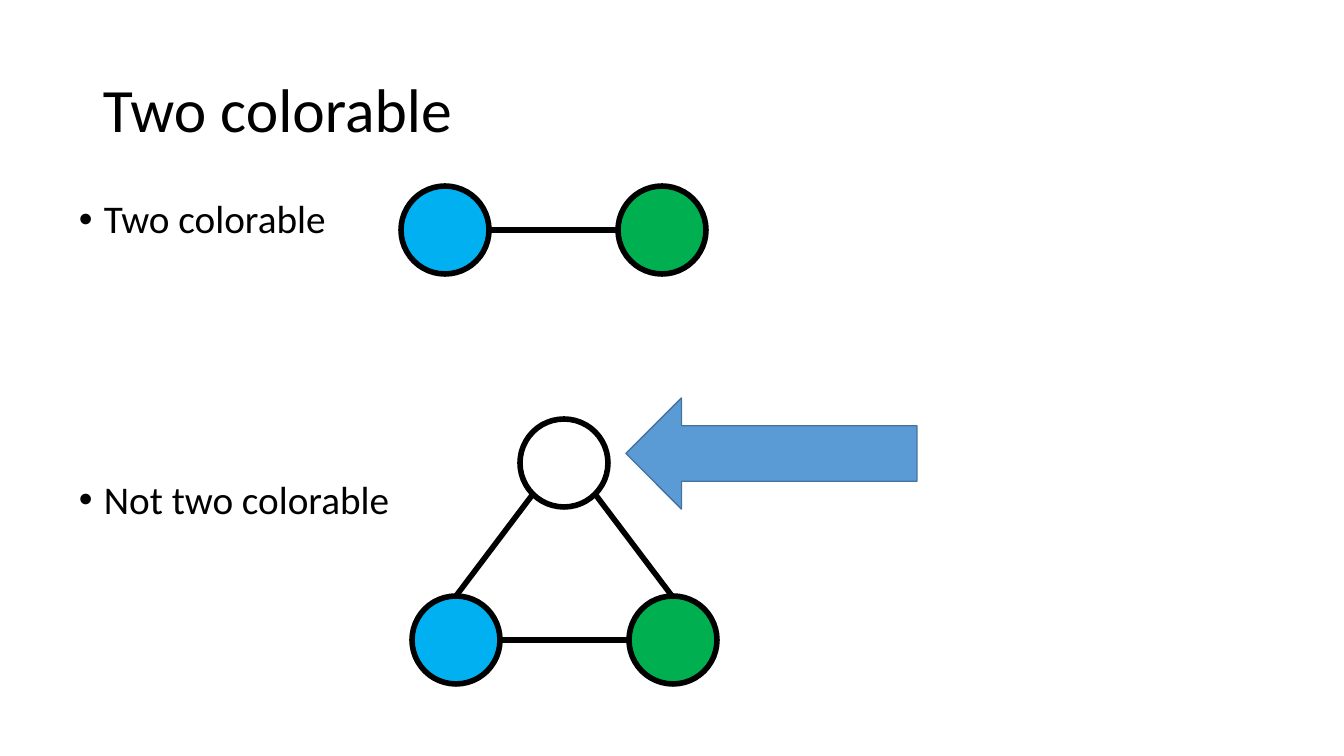
from math import sqrt

from lxml import etree
from pptx import Presentation
from pptx.dml.color import RGBColor
from pptx.enum.shapes import MSO_CONNECTOR, MSO_SHAPE
from pptx.enum.text import MSO_ANCHOR
from pptx.oxml.ns import qn
from pptx.util import Pt

CIRCLE = MSO_SHAPE.OVAL
LEFT_ARROW = MSO_SHAPE.LEFT_ARROW
STRAIGHT = MSO_CONNECTOR.STRAIGHT
MIDDLE, TOP = MSO_ANCHOR.MIDDLE, MSO_ANCHOR.TOP

EMU_PER_PIXEL = 914400 / 100.8
FONT = "Calibri"
COLORS = {
    "ink": "000000",
    "blue": "00B0F0",
    "green": "00B050",
    "uncolored": "FFFFFF",
    "arrow": "5B9BD5",
    "arrow_edge": "43739E",
}
NODE = 88  # node diameter
RADIUS = NODE // 2
DIAGONAL = round(RADIUS / sqrt(2))


def px(value):
    return round(value * EMU_PER_PIXEL)


def color(name):
    return RGBColor.from_string(COLORS[name])


def add_text_frame(slide, box, anchor):
    frame = slide.shapes.add_textbox(*map(px, box)).text_frame
    frame.word_wrap = True
    frame.vertical_anchor = anchor
    return frame


def add_text(paragraph, text, size):
    paragraph.line_spacing = 0.9
    run = paragraph.add_run()
    run.text = text
    run.font.name = FONT
    run.font.size = Pt(size)
    run.font.color.rgb = color("ink")


def add_filled_shape(slide, kind, box, fill, edge, edge_width):
    shape = slide.shapes.add_shape(kind, *map(px, box))
    shape.shadow.inherit = False
    shape.fill.solid()
    shape.fill.fore_color.rgb = color(fill)
    shape.line.color.rgb = color(edge)
    shape.line.width = Pt(edge_width)


def add_node(slide, left, top, fill):
    add_filled_shape(slide, CIRCLE, (left, top, NODE, NODE), fill, "ink", 4)


def add_edge(slide, start, end):
    edge = slide.shapes.add_connector(STRAIGHT, *map(px, (*start, *end)))
    edge.line.color.rgb = color("ink")
    edge.line.width = Pt(4)
    etree.SubElement(edge._element.spPr, qn("a:effectLst"))


def add_title(slide, box):
    frame = add_text_frame(slide, box, MIDDLE)
    add_text(frame.paragraphs[0], "Two colorable", 44)


def add_bullets(slide, box):
    frame = add_text_frame(slide, box, TOP)
    bullets = [("Two colorable", 10), ("Not two colorable", 170)]
    for index, (text, space_before) in enumerate(bullets):
        paragraph = frame.add_paragraph() if index else frame.paragraphs[0]
        add_text(paragraph, text, 28)
        paragraph.space_before = Pt(space_before)
        properties = paragraph._p.get_or_add_pPr()
        properties.set("marL", str(px(25)))
        properties.set("indent", str(-px(25)))
        font = etree.SubElement(properties, qn("a:buFont"))
        font.set("typeface", "Arial")
        bullet = etree.SubElement(properties, qn("a:buChar"))
        bullet.set("char", "•")


def add_pair(slide, box):
    """Blue and green nodes at the two ends of the box, joined by an edge."""
    left, top, width, height = box
    right = left + width - NODE
    middle = top + height // 2
    add_node(slide, left, top, "blue")
    add_edge(slide, (left + NODE, middle), (right, middle))
    add_node(slide, right, top, "green")


def add_triangle(slide, box):
    """A pair along the bottom of the box and an uncolored node on top."""
    left, top, width, height = box
    base = top + height - NODE
    center = left + width // 2
    add_pair(slide, (left, base, width, NODE))
    add_node(slide, center - RADIUS, top, "uncolored")
    for side in (-1, 1):
        lower = (center + side * (width // 2 - RADIUS), base)
        upper = (center + side * DIAGONAL, top + RADIUS + DIAGONAL)
        add_edge(slide, lower, upper)


def add_pointer(slide, box):
    add_filled_shape(slide, LEFT_ARROW, box, "arrow", "arrow_edge", 1)


presentation = Presentation()
presentation.slide_width = px(1344)
presentation.slide_height = px(756)
slide = presentation.slides.add_slide(presentation.slide_layouts[6])

# Title and statements
add_title(slide, (93, 40, 1159, 146))
add_bullets(slide, (69, 195, 1159, 480))

# Graphs
add_pair(slide, (401, 186, 305, NODE))
add_triangle(slide, (412, 419, 305, 265))

# Arrow to the node that has no color left
add_pointer(slide, (626, 398, 291, 111))

presentation.save("out.pptx")
